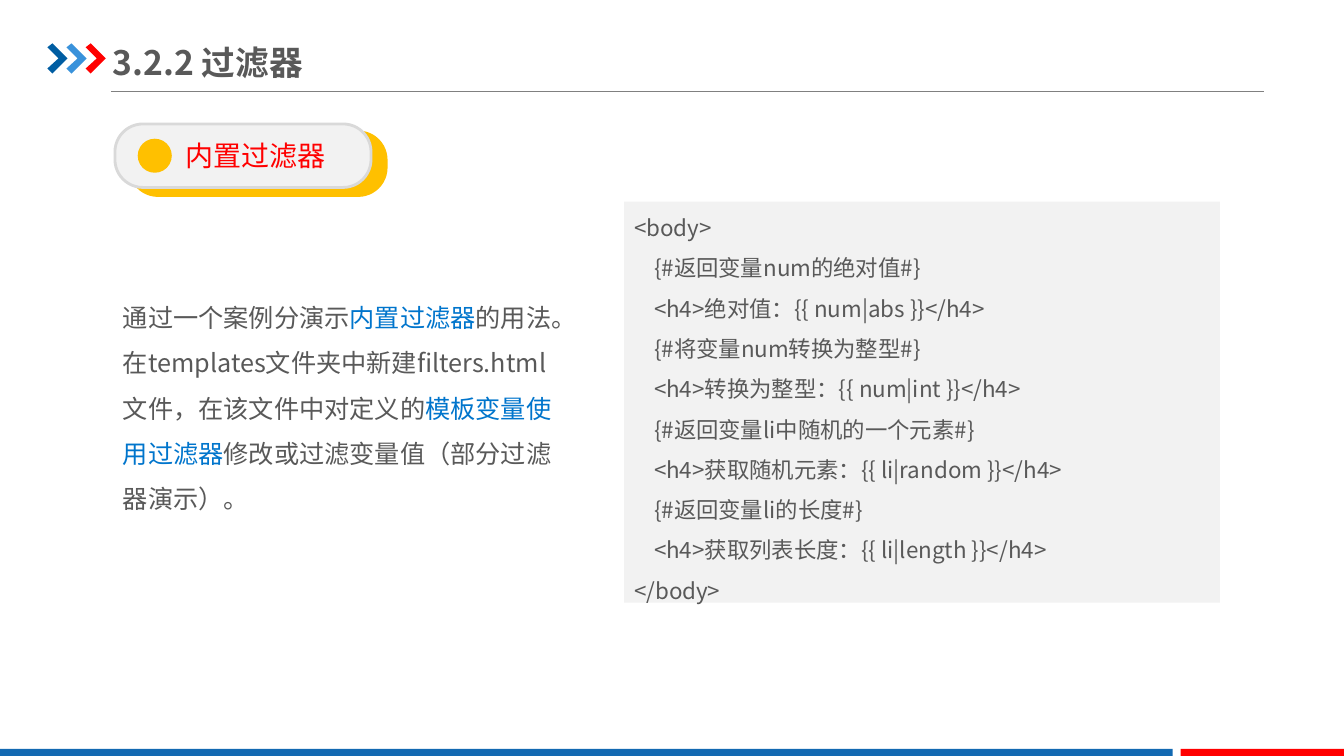
import pptx
import pptx.dml.color
import pptx.enum.shapes
import pptx.enum.text
import pptx.oxml.ns
import pptx.util
from dataclasses import dataclass
from lxml import etree

Inches = pptx.util.Inches
Shape = pptx.enum.shapes.MSO_SHAPE
Anchor = pptx.enum.text.MSO_ANCHOR
Align = pptx.enum.text.PP_ALIGN


@dataclass(frozen=True)
class Theme:
    font: str = "Noto Sans CJK SC"
    grey: str = "595959"
    rule: str = "808080"
    panel: str = "F2F2F2"
    badge_edge: str = "D9D9D9"
    amber: str = "FFC000"
    red: str = "FF0000"
    keyword: str = "0075CC"
    footer: str = "1369B2"
    chevrons: tuple = ("005DA2", "3992DB", "FF0000")
    title_size: int = 24
    badge_size: int = 20
    body_size: int = 18
    code_size: int = 16


theme = Theme()


def paint(shape, fill, edge=None):
    """Give a shape a flat fill and an optional 2 pt outline."""
    shape.shadow.inherit = False
    shape.fill.solid()
    shape.fill.fore_color.rgb = pptx.dml.color.RGBColor.from_string(fill)
    if edge:
        shape.line.color.rgb = pptx.dml.color.RGBColor.from_string(edge)
        shape.line.width = pptx.util.Pt(2)
    else:
        shape.line.fill.background()


def write(frame, paragraphs, size, anchor=Anchor.TOP, align=Align.LEFT, spacing=1.0, bold=False):
    """Fill a text frame; each paragraph is a list of (text, colour) runs."""
    frame.word_wrap = True
    frame.vertical_anchor = anchor
    for index, pieces in enumerate(paragraphs):
        paragraph = frame.add_paragraph() if index else frame.paragraphs[0]
        paragraph.alignment = align
        paragraph.line_spacing = spacing
        for text, color in pieces:
            run = paragraph.add_run()
            run.text = text
            run.font.size = pptx.util.Pt(size)
            run.font.bold = bold
            run.font.color.rgb = pptx.dml.color.RGBColor.from_string(color)
            run.font.name = theme.font
            east_asian = etree.SubElement(run.font._element, pptx.oxml.ns.qn("a:ea"))
            east_asian.set("typeface", theme.font)


deck = pptx.Presentation()
deck.slide_width, deck.slide_height = Inches(13.33), Inches(7.5)
slide = deck.slides.add_slide(deck.slide_layouts[6])
shapes = slide.shapes

# Header rule and chevrons
header_rule = shapes.add_connector(
    pptx.enum.shapes.MSO_CONNECTOR.STRAIGHT,
    Inches(1.1), Inches(0.91), Inches(12.54), Inches(0.91))
header_rule.line.color.rgb = pptx.dml.color.RGBColor.from_string(theme.rule)
header_rule.line.width = pptx.util.Pt(0.75)
etree.SubElement(header_rule._element.spPr, pptx.oxml.ns.qn("a:effectLst"))

chevron_points = [(0, 0.04), (0.05, 0), (0.2, 0.15), (0.05, 0.3), (0, 0.25), (0.11, 0.15)]
for index, color in enumerate(theme.chevrons):
    left = 0.47 + 0.19 * index
    corners = [(Inches(left + x), Inches(0.43 + y)) for x, y in chevron_points]
    outline = shapes.build_freeform(*corners[0])
    outline.add_line_segments(corners[1:], close=True)
    paint(outline.convert_to_shape(), color)

# Footer bars
for left, width, color in [(0, 11.63, theme.footer), (11.71, 1.62, theme.red)]:
    bar = shapes.add_shape(Shape.RECTANGLE, Inches(left), Inches(7.43), Inches(width), Inches(0.07))
    paint(bar, color)

# Explanation
explanation = shapes.add_textbox(Inches(1.12), Inches(2.8), Inches(4.6), Inches(2.37))
write(explanation.text_frame, [
    [("通过一个案例分演示", theme.grey), ("内置过滤器", theme.keyword), ("的用法。", theme.grey)],
    [("在templates文件夹中新建filters.html文件，在该文件中对定义的", theme.grey),
     ("模板变量使用过滤器", theme.keyword),
     ("修改或过滤变量值（部分过滤器演示）。", theme.grey)],
], theme.body_size, spacing=1.5)

# Code panel
code_lines = [
    "<body>",
    "    {#返回变量num的绝对值#}",
    "    <h4>绝对值：{{ num|abs }}</h4>",
    "    {#将变量num转换为整型#}",
    "    <h4>转换为整型：{{ num|int }}</h4>",
    "    {#返回变量li中随机的一个元素#}",
    "    <h4>获取随机元素：{{ li|random }}</h4>",
    "    {#返回变量li的长度#}",
    "    <h4>获取列表长度：{{ li|length }}</h4>",
    "</body>",
]
code_panel = shapes.add_shape(Shape.RECTANGLE, Inches(6.19), Inches(2), Inches(5.91), Inches(3.98))
paint(code_panel, theme.panel)
write(code_panel.text_frame, [[(line, theme.grey)] for line in code_lines],
      theme.code_size, Anchor.MIDDLE, spacing=1.5)

# Title
title = shapes.add_textbox(Inches(1.12), Inches(0.34), Inches(4.26), Inches(0.55))
title.text_frame.margin_left = title.text_frame.margin_right = 0
title.text_frame.margin_top = title.text_frame.margin_bottom = Inches(0.07)
write(title.text_frame, [[("3.2.2 过滤器", theme.grey)]], theme.title_size, Anchor.MIDDLE, bold=True)

# Section badge: amber backing, then the label on top
for left, top, fill, edge in [(1.29, 1.31, theme.amber, theme.amber),
                              (1.14, 1.23, theme.panel, theme.badge_edge)]:
    badge = shapes.add_shape(Shape.ROUNDED_RECTANGLE, Inches(left), Inches(top), Inches(2.54), Inches(0.63))
    badge.adjustments[0] = 0.44
    paint(badge, fill, edge)
badge.text_frame.margin_left = Inches(0.35)
write(badge.text_frame, [[("内置过滤器", theme.red)]], theme.badge_size, Anchor.MIDDLE, Align.CENTER)

badge_dot = shapes.add_shape(Shape.OVAL, Inches(1.38), Inches(1.39), Inches(0.31), Inches(0.31))
paint(badge_dot, theme.amber, theme.amber)

deck.save("out.pptx")
